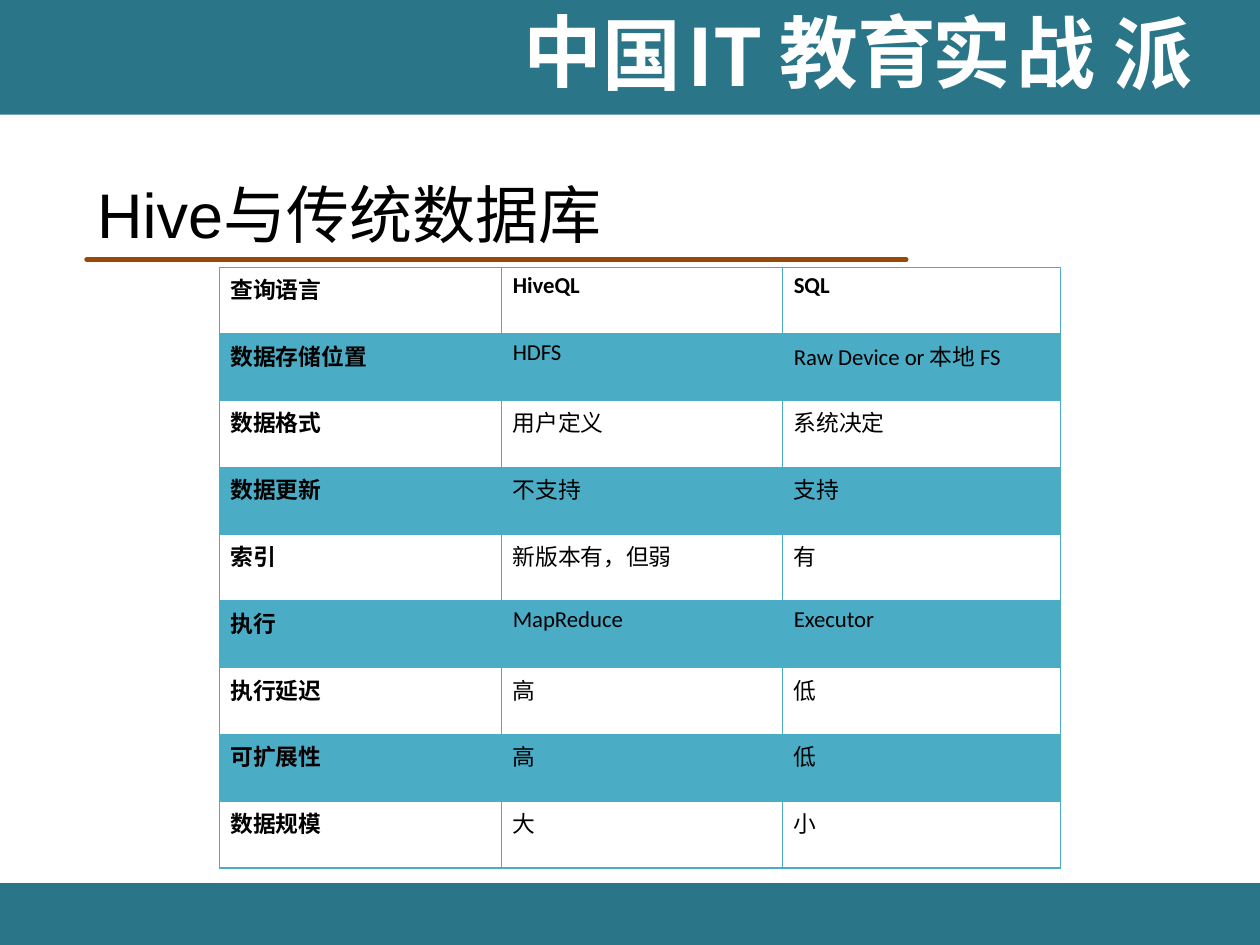
from lxml import etree
from pptx import Presentation
from pptx.dml.color import RGBColor
from pptx.enum import shapes, text
from pptx.oxml.ns import qn
from pptx.util import Inches, Pt

TEAL = RGBColor(0x2B, 0x75, 0x89)
AQUA = RGBColor(0x4B, 0xAC, 0xC6)
BROWN = RGBColor(0x98, 0x48, 0x07)
INK = RGBColor(0x08, 0x00, 0x01)
BLACK = RGBColor(0, 0, 0)
WHITE = RGBColor(255, 255, 255)
HAN = "Noto Sans CJK SC"

# character, left, top, width
BANNER = [
    ("中", 4.06, -0.03, 0.79),
    ("国", 4.68, 0, 0.93),
    ("IT", 5.36, 0.01, 0.84),
    ("教", 6.09, -0.02, 0.79),
    ("育", 6.71, -0.03, 0.75),
    ("实", 7.3, -0.02, 0.89),
    ("战", 7.97, -0.02, 0.81),
    ("派", 8.74, -0.01, 0.98),
]
ROWS = [
    ("查询语言", "HiveQL", "SQL"),
    ("数据存储位置", "HDFS", "Raw Device or 本地 FS"),
    ("数据格式", "用户定义", "系统决定"),
    ("数据更新", "不支持", "支持"),
    ("索引", "新版本有，但弱", "有"),
    ("执行", "MapReduce", "Executor"),
    ("执行延迟", "高", "低"),
    ("可扩展性", "高", "低"),
    ("数据规模", "大", "小"),
]


def write(frame, words, size, font="Calibri", color=BLACK, bold=False):
    para = frame.paragraphs[0]
    para.alignment = text.PP_ALIGN.LEFT
    run = para.add_run()
    run.text = words
    run.font.size = Pt(size)
    run.font.name = font
    run.font.bold = bold
    run.font.color.rgb = color
    east = etree.SubElement(run._r.get_or_add_rPr(), qn("a:ea"))
    east.set("typeface", HAN)


def add_band(slide, top, height):
    band = slide.shapes.add_shape(
        shapes.MSO_SHAPE.RECTANGLE,
        Inches(-0.02), Inches(top), Inches(10.04), Inches(height))
    band.shadow.inherit = False
    band.fill.solid()
    band.fill.fore_color.rgb = TEAL
    band.line.fill.background()


def add_banner(slide):
    for char, left, top, width in BANNER:
        box = slide.shapes.add_textbox(
            Inches(left), Inches(top), Inches(width), Inches(0.86))
        write(box.text_frame, char, 45, font=HAN, color=WHITE, bold=True)


def add_rule(slide):
    rule = slide.shapes.add_connector(
        shapes.MSO_CONNECTOR.STRAIGHT,
        Inches(0.69), Inches(2.06), Inches(7.19), Inches(2.06))
    rule.line.color.rgb = BROWN
    rule.line.width = Pt(3)
    line = rule.line._get_or_add_ln()
    line.set("cap", "rnd")
    etree.SubElement(rule._element.spPr, qn("a:effectLst"))


def set_title(slide):
    title = slide.shapes.title
    title.left, title.top = Inches(0.67), Inches(1.36)
    title.width, title.height = Inches(8.82), Inches(0.66)
    frame = title.text_frame
    frame.auto_size = text.MSO_AUTO_SIZE.NONE
    frame.vertical_anchor = text.MSO_ANCHOR.MIDDLE
    write(frame, "Hive与传统数据库", 36, font="Arial")


def set_borders(cell, **widths):
    """Draw the sides L, R, T and B at the given point widths."""
    props = cell._tc.get_or_add_tcPr()
    for spot, side in enumerate("LRTB"):
        line = etree.Element(qn(f"a:ln{side}"), w=str(Pt(widths.get(side, 0.75))))
        fill = etree.SubElement(line, qn("a:solidFill"))
        etree.SubElement(fill, qn("a:srgbClr"), val=str(AQUA))
        props.insert(spot, line)


def add_grid(slide):
    grid = slide.shapes.add_table(
        len(ROWS), 3, Inches(1.74), Inches(2.12),
        Inches(6.68), Inches(4.77)).table
    for col, width in zip(grid.columns, (2.24, 2.23, 2.21)):
        col.width = Inches(width)
    for r, row in enumerate(ROWS):
        grid.rows[r].height = Inches(0.53)
        for c, words in enumerate(row):
            cell = grid.cell(r, c)
            cell.margin_left = cell.margin_right = Inches(0.09)
            cell.margin_top = cell.margin_bottom = Inches(0.04)
            if r % 2:
                cell.fill.solid()
                cell.fill.fore_color.rgb = AQUA
            else:
                cell.fill.background()
            set_borders(cell, T=1.5 if r == 1 else 0.75,
                        B=1.5 if r == 0 else 0.75)
            late = c == 0 and r == 7
            write(cell.text_frame, words, 13,
                  font="Arial" if late else "Calibri",
                  color=INK if late else BLACK,
                  bold=r == 0 or c == 0)


def main():
    deck = Presentation()
    deck.slide_width, deck.slide_height = Inches(10), Inches(7.5)
    slide = deck.slides.add_slide(deck.slide_layouts[5])
    add_band(slide, -0.03, 0.94)
    add_band(slide, 7.01, 0.52)
    add_banner(slide)
    add_rule(slide)
    add_grid(slide)
    set_title(slide)
    deck.save("out.pptx")


if __name__ == "__main__":
    main()
